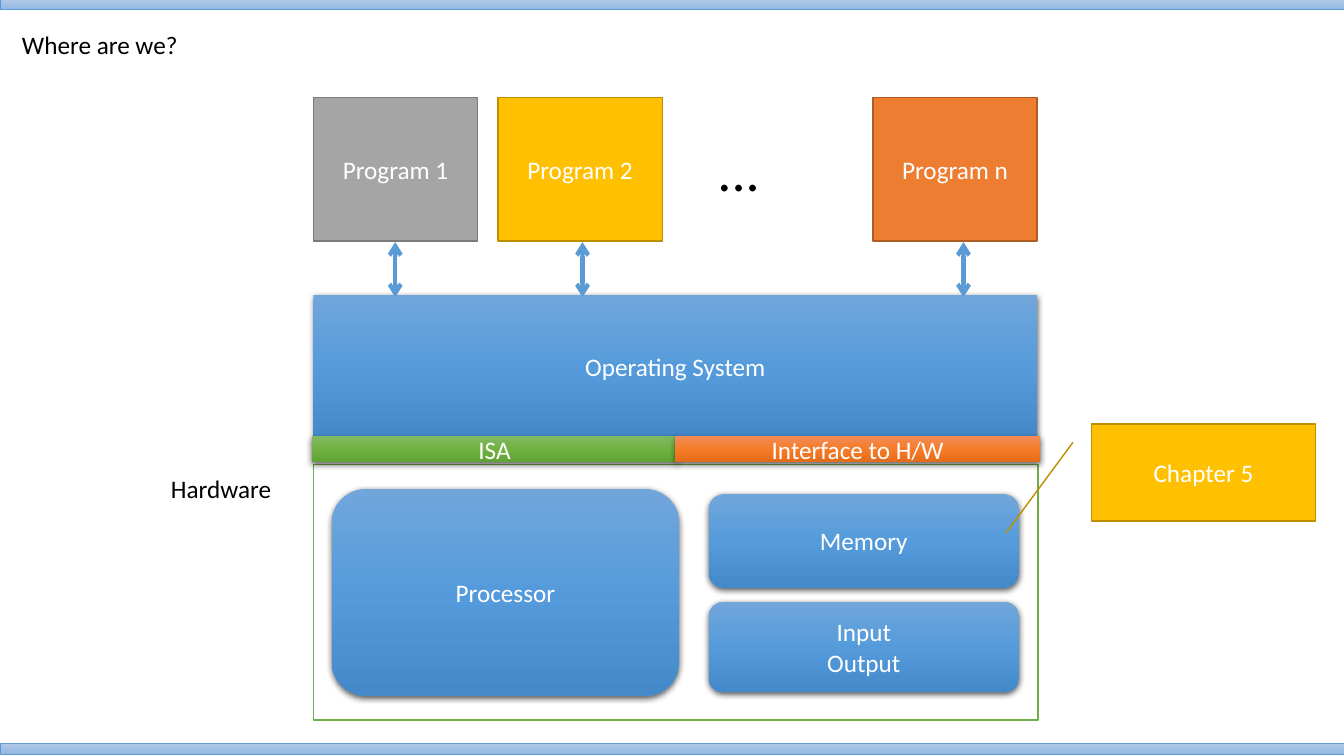
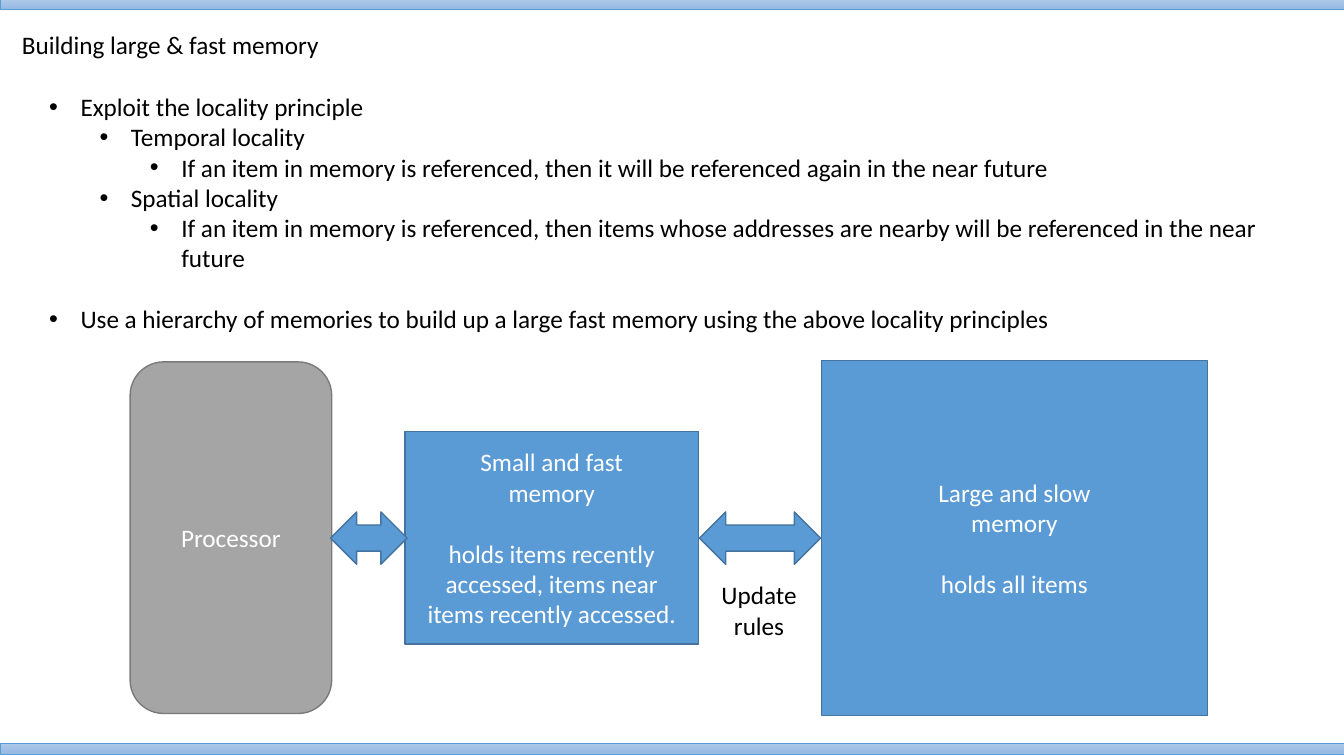
from lxml import etree
from pptx import Presentation
from pptx import util as u
from pptx.dml.color import RGBColor
from pptx.enum import shapes, text
from pptx.oxml.ns import qn

FONT = "Calibri"
BODY_SIZE = 18
LINE_GAP = 22

BLACK = RGBColor(0x00, 0x00, 0x00)
WHITE = RGBColor(0xFF, 0xFF, 0xFF)
BLUE = RGBColor(0x5B, 0x9B, 0xD5)
DARK_BLUE = RGBColor(0x43, 0x73, 0x9E)
GRAY = RGBColor(0xA5, 0xA5, 0xA5)
DARK_GRAY = RGBColor(0x7A, 0x7A, 0x7A)
GOLD = RGBColor(0xFF, 0xC0, 0x00)
DARK_GOLD = RGBColor(0xBD, 0x8E, 0x00)
ORANGE = RGBColor(0xED, 0x7D, 0x31)
DARK_ORANGE = RGBColor(0xAF, 0x5C, 0x24)
GREEN = RGBColor(0x70, 0xAD, 0x47)

BAND_GRADIENT = (RGBColor(0xB1, 0xCB, 0xE9), RGBColor(0xA3, 0xC1, 0xE5), RGBColor(0x93, 0xB9, 0xE4))
BLUE_GRADIENT = (RGBColor(0x71, 0xA6, 0xDB), RGBColor(0x55, 0x9B, 0xDB), RGBColor(0x44, 0x8A, 0xCA))
GREEN_GRADIENT = (RGBColor(0x81, 0xB8, 0x61), RGBColor(0x6F, 0xB2, 0x42), RGBColor(0x62, 0xA3, 0x36))
ORANGE_GRADIENT = (RGBColor(0xF1, 0x8C, 0x57), RGBColor(0xF6, 0x7B, 0x28), RGBColor(0xE5, 0x6C, 0x19))

RECTANGLE = shapes.MSO_SHAPE.RECTANGLE
ROUNDED = shapes.MSO_SHAPE.ROUNDED_RECTANGLE
DOUBLE_ARROW = shapes.MSO_SHAPE.LEFT_RIGHT_ARROW
CALLOUT = shapes.MSO_SHAPE.LINE_CALLOUT_1

SLIDE_WIDTH = 33.87
SLIDE_HEIGHT = 19.05


def cm(*values):
    return [u.Cm(value) for value in values]


def add_xml(parent, tag, **attributes):
    return etree.SubElement(parent, qn(tag), {key: str(value) for key, value in attributes.items()})


def write(frame, lines, size=BODY_SIZE, color=BLACK, align=text.PP_ALIGN.LEFT,
          anchor=text.MSO_ANCHOR.TOP, gap_before=None):
    frame.word_wrap = True
    frame.auto_size = text.MSO_AUTO_SIZE.NONE
    frame.vertical_anchor = anchor
    for index, line in enumerate(lines):
        paragraph = frame.add_paragraph() if index else frame.paragraphs[0]
        paragraph.alignment = align
        paragraph.space_before = u.Pt(LINE_GAP if index == gap_before else 0)
        run = paragraph.add_run()
        run.text = line
        run.font.name = FONT
        run.font.size = u.Pt(size)
        run.font.color.rgb = color


def add_label(slide, place, *lines, **style):
    label = slide.shapes.add_textbox(*cm(*place))
    write(label.text_frame, lines, **style)
    return label


def set_gradient(shape, colors):
    shape.fill.background()
    properties = shape.element.spPr
    gradient = etree.Element(qn("a:gradFill"), rotWithShape="1")
    stops = add_xml(gradient, "a:gsLst")
    for index, color in enumerate(colors):
        stop = add_xml(stops, "a:gs", pos=index * 50000)
        add_xml(stop, "a:srgbClr", val=color)
    add_xml(gradient, "a:lin", ang=5400000, scaled=0)
    properties.replace(properties.find(qn("a:noFill")), gradient)


def set_shadow(shape):
    effects = shape.element.spPr.find(qn("a:effectLst"))
    shadow = add_xml(effects, "a:outerShdw", blurRad=u.Pt(4.5), dist=u.Pt(1.5),
                     dir=5400000, algn="ctr", rotWithShape=0)
    color = add_xml(shadow, "a:srgbClr", val=BLACK)
    add_xml(color, "a:alpha", val=63000)


def add_box(slide, kind, place, *lines, fill=BLUE, outline=None, weight=1, raised=False, gap_before=None):
    shape = slide.shapes.add_shape(kind, *cm(*place))
    shape.shadow.inherit = False
    if isinstance(fill, RGBColor):
        shape.fill.solid()
        shape.fill.fore_color.rgb = fill
    else:
        set_gradient(shape, fill)
    if outline is None:
        shape.line.fill.background()
    else:
        shape.line.color.rgb = outline
        shape.line.width = u.Pt(weight)
    if raised:
        set_shadow(shape)
    write(shape.text_frame, lines, color=WHITE, align=text.PP_ALIGN.CENTER,
          anchor=text.MSO_ANCHOR.MIDDLE, gap_before=gap_before)


def add_vertical_arrow(slide, x, top, bottom):
    connector = slide.shapes.add_connector(shapes.MSO_CONNECTOR.STRAIGHT, *cm(x, top, x, bottom))
    connector.line.color.rgb = BLUE
    connector.line.width = u.Pt(3)
    properties = connector.element.spPr
    line = properties.find(qn("a:ln"))
    for end in ("a:headEnd", "a:tailEnd"):
        add_xml(line, end, type="arrow")
    add_xml(properties, "a:effectLst")


def add_bullets(slide, place, items, gap_before):
    label = add_label(slide, place, *[line for _, line in items], gap_before=gap_before)
    for paragraph, (level, _) in zip(label.text_frame.paragraphs, items):
        paragraph.level = level
        properties = paragraph._p.get_or_add_pPr()
        properties.set("marL", str(u.Cm(0.79 + 1.27 * level)))
        properties.set("indent", str(u.Cm(-0.79)))
        add_xml(properties, "a:buFont", typeface="Arial")
        add_xml(properties, "a:buChar", char="•")


def add_slide(presentation, title):
    slide = presentation.slides.add_slide(presentation.slide_layouts[5])
    for top in (-0.03, 18.72):
        add_box(slide, RECTANGLE, (0, top, SLIDE_WIDTH, 0.28), fill=BAND_GRADIENT, outline=BLUE, weight=0.5)
    heading = slide.shapes.title
    heading.left, heading.top, heading.width, heading.height = cm(0.3, 0.61, 31.2, 1.07)
    write(heading.text_frame, [title])
    return slide


def add_system_slide(presentation):
    slide = add_slide(presentation, "Where are we?")
    programs = [
        ("Program 1", 7.9, GRAY, DARK_GRAY),
        ("Program 2", 12.55, GOLD, DARK_GOLD),
        ("Program n", 22, ORANGE, DARK_ORANGE),
    ]
    for name, left, fill, outline in programs:
        add_box(slide, RECTANGLE, (left, 2.46, 4.14, 3.61), name, fill=fill, outline=outline)
    add_box(slide, RECTANGLE, (7.9, 7.44, 18.24, 3.61), "Operating System", fill=BLUE_GRADIENT, raised=True)
    add_label(slide, (17.83, 3.28, 3.68, 2.06), "...", size=40)
    for x in (9.96, 14.68, 24.28):
        add_vertical_arrow(slide, x, 6.1, 7.49)

    add_box(slide, RECTANGLE, (7.9, 11.71, 18.26, 6.43), fill=WHITE, outline=GREEN)
    add_label(slide, (4.06, 11.81, 3.53, 1.07), "Hardware")
    units = [
        ((8.36, 12.32, 8.76, 5.21), ["Processor"]),
        ((17.86, 12.45, 7.82, 2.36), ["Memory"]),
        ((17.86, 15.16, 7.82, 2.29), ["Input", "Output"]),
    ]
    for place, lines in units:
        add_box(slide, ROUNDED, place, *lines, fill=BLUE_GRADIENT, raised=True)
    add_box(slide, CALLOUT, (27.51, 10.69, 5.64, 2.44), "Chapter 5", fill=GOLD, outline=DARK_GOLD)
    interfaces = [("ISA", 7.87, GREEN_GRADIENT), ("Interface to H/W", 17.02, ORANGE_GRADIENT)]
    for name, left, fill in interfaces:
        add_box(slide, RECTANGLE, (left, 11, 9.19, 0.64), name, fill=fill, raised=True)


def add_memory_slide(presentation):
    slide = add_slide(presentation, "Building large & fast memory")
    add_bullets(slide, (0.99, 2.18, 31.85, 7.16), [
        (0, "Exploit the locality principle"),
        (1, "Temporal locality"),
        (2, "If an item in memory is referenced, then it will be referenced again in the near future"),
        (1, "Spatial locality"),
        (2, "If an item in memory is referenced, then items whose addresses are nearby "
            "will be referenced in the near future"),
        (0, "Use a hierarchy of memories to build up a large fast memory using the above locality principles"),
    ], gap_before=5)
    add_label(slide, (17.81, 14.48, 2.64, 1.83), "Update rules", align=text.PP_ALIGN.CENTER)
    memories = [
        ((10.21, 10.87, 7.39, 5.36), "Small and fast",
         "holds items recently accessed, items near items recently accessed."),
        ((20.7, 9.09, 9.73, 8.94), "Large and slow", "holds all items"),
    ]
    for place, kind, contents in memories:
        add_box(slide, RECTANGLE, place, kind, "memory", contents, outline=DARK_BLUE, gap_before=2)
    add_box(slide, ROUNDED, (3.28, 9.12, 5.08, 8.86), "Processor", fill=GRAY, outline=DARK_GRAY)
    for left, width in ((8.33, 1.93), (17.63, 3.05)):
        add_box(slide, DOUBLE_ARROW, (left, 12.9, width, 1.32), outline=DARK_BLUE)


def main():
    presentation = Presentation()
    presentation.slide_width, presentation.slide_height = cm(SLIDE_WIDTH, SLIDE_HEIGHT)
    add_system_slide(presentation)
    add_memory_slide(presentation)
    presentation.save("out.pptx")


main()
